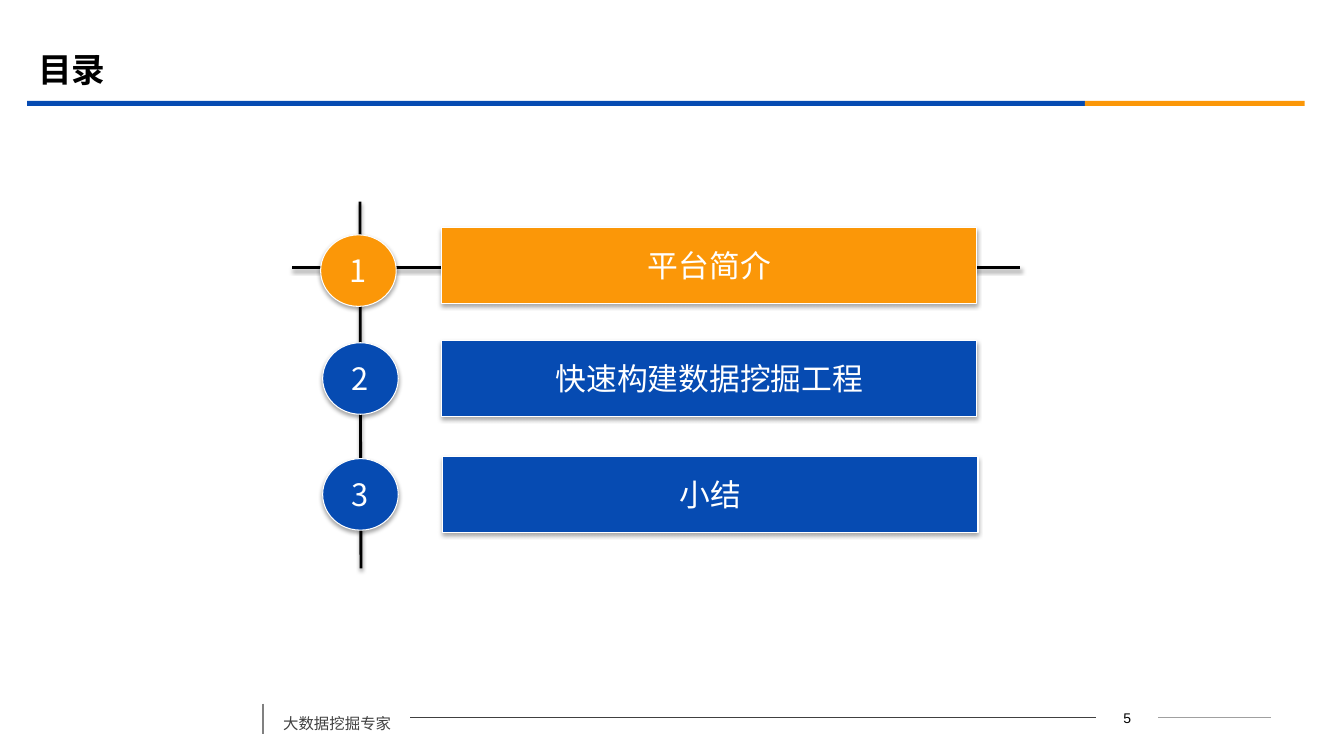
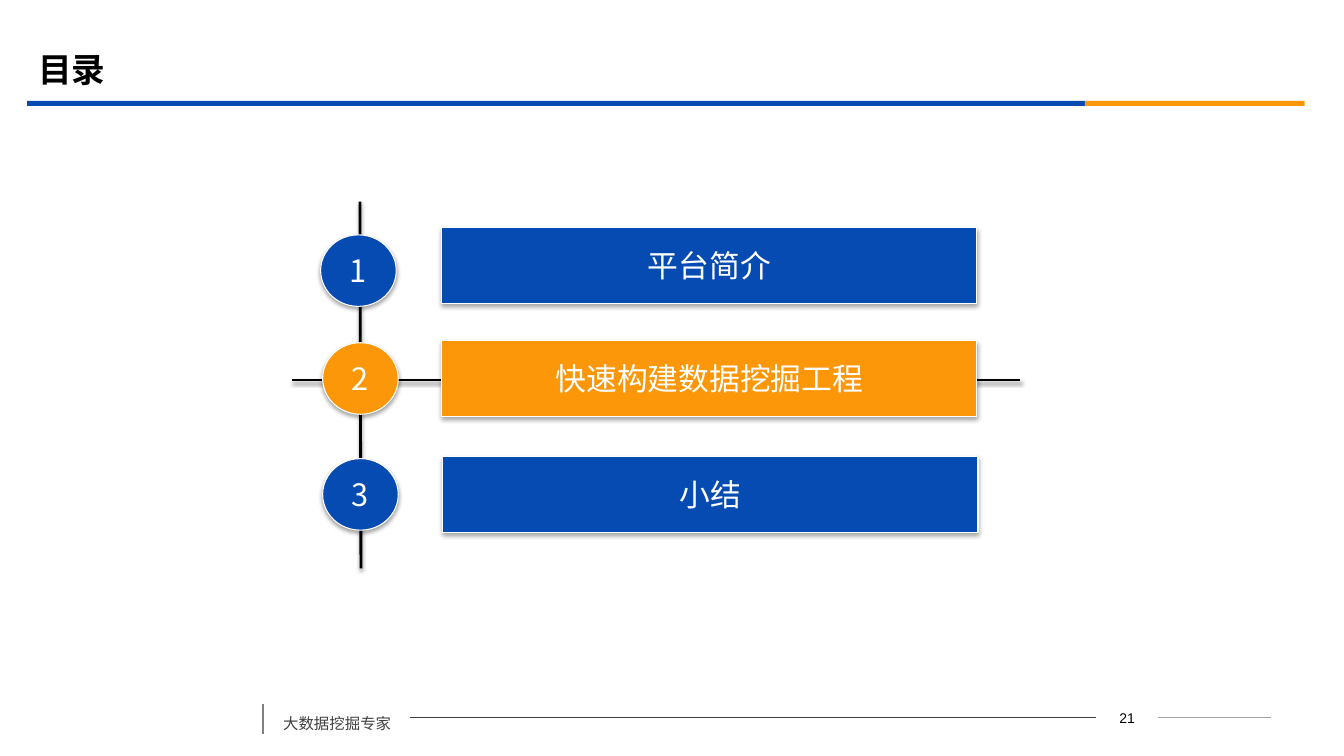
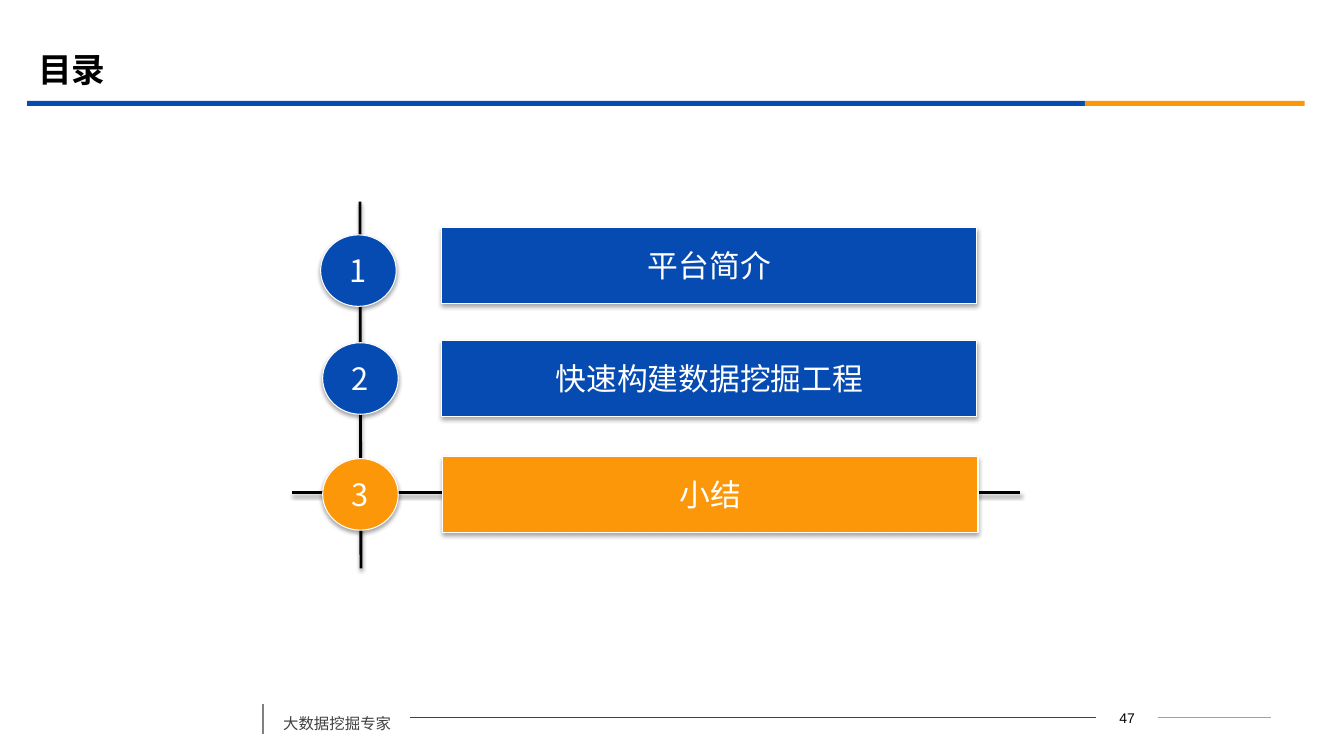
import pptx
import pptx.util
import pptx.dml.color
import pptx.enum.shapes
import pptx.enum.text
import pptx.oxml.ns
import lxml.etree

Inches = pptx.util.Inches
Pt = pptx.util.Pt
RGBColor = pptx.dml.color.RGBColor
Shape = pptx.enum.shapes.MSO_SHAPE
Align = pptx.enum.text.PP_ALIGN
Anchor = pptx.enum.text.MSO_ANCHOR
qn = pptx.oxml.ns.qn

BLUE = RGBColor(0x06, 0x4B, 0xB2)
ORANGE = RGBColor(0xFB, 0x97, 0x08)
BLACK = RGBColor(0, 0, 0)
WHITE = RGBColor(0xFF, 0xFF, 0xFF)
DARK = RGBColor(0x40, 0x40, 0x40)
GREY = RGBColor(0x80, 0x80, 0x80)
LIGHT = RGBColor(0xA0, 0xA0, 0xA0)
SANS = "Noto Sans CJK SC"

# Topic, then left and top of its disc and of its bar
TOPICS = [
    ("平台简介", (3.18, 2.33), (4.38, 2.26)),
    ("快速构建数据挖掘工程", (3.2, 3.4), (4.38, 3.38)),
    ("小结", (3.2, 4.55), (4.39, 4.53)),
]
DISC = (0.75, 0.71)
BAR = (5.31, 0.75)
RULE_TOP, RULE_STEP = 2.65, 1.12
PAGES = [5, 21, 47]


class Deck:
    def __init__(self):
        self.file = pptx.Presentation()
        self.file.slide_width = Inches(13.33)
        self.file.slide_height = Inches(7.5)
        self.slide = None

    def add(self, title, page):
        """Start a slide with its title, band and footer."""
        self.slide = self.file.slides.add_slide(self.file.slide_layouts[6])
        self.block(Shape.RECTANGLE, (0.27, 1), (10.49, 0.05), BLUE)
        self.block(Shape.RECTANGLE, (10.76, 1), (2.18, 0.05), ORANGE)
        frame = self.label((0.28, 0.39), (12, 0.58), title, 24, BLACK, bold=True)
        frame.vertical_anchor = Anchor.MIDDLE

        self.line((2.61, 6.98), (2.61, 7.28), GREY, 1.25)
        self.line((4.07, 7.12), (10.87, 7.12), DARK, 0.75)
        self.line((11.49, 7.12), (12.61, 7.12), LIGHT, 0.75)
        frame = self.label((2.71, 6.94), (1.36, 0.38), "大数据挖掘专家", 11, DARK)
        frame.paragraphs[0].line_spacing = 1.5
        frame.paragraphs[0].space_before = Pt(6)
        frame = self.label((10.87, 6.99), (0.62, 0.25), str(page), 10, BLACK, "Arial")
        frame.paragraphs[0].alignment = Align.CENTER

    def effect(self, shape, alpha=0, dist=0):
        """Give the shape a soft shadow below it, or none if alpha is 0."""
        props = shape._element.spPr
        box = lxml.etree.SubElement(props, qn("a:effectLst"))
        if alpha:
            shade = lxml.etree.SubElement(
                box, qn("a:outerShdw"), blurRad=str(Pt(3.1)), dist=str(Pt(dist)),
                dir="5400000", rotWithShape="0")
            color = lxml.etree.SubElement(shade, qn("a:srgbClr"), val=str(BLACK))
            lxml.etree.SubElement(color, qn("a:alpha"), val=str(alpha * 1000))

    def text(self, frame, words, size, color, font=SANS, bold=False):
        run = frame.paragraphs[0].add_run()
        run.text = words
        run.font.size = Pt(size)
        run.font.bold = bold
        run.font.color.rgb = color
        run.font.name = font
        lxml.etree.SubElement(run.font._element, qn("a:ea"), typeface=font)

    def label(self, at, size, words, points, color, font=SANS, bold=False):
        box = self.slide.shapes.add_textbox(*map(Inches, at + size))
        frame = box.text_frame
        frame.word_wrap = True
        self.text(frame, words, points, color, font, bold)
        return frame

    def line(self, start, end, color, width, alpha=0):
        link = self.slide.shapes.add_connector(
            pptx.enum.shapes.MSO_CONNECTOR.STRAIGHT, *map(Inches, start + end))
        link.line.color.rgb = color
        link.line.width = Pt(width)
        self.effect(link, alpha, 1.6)

    def block(self, kind, at, size, fill):
        shape = self.slide.shapes.add_shape(kind, *map(Inches, at + size))
        shape.fill.solid()
        shape.fill.fore_color.rgb = fill
        shape.line.fill.background()
        shape.shadow.inherit = False
        return shape

    def button(self, kind, at, size, fill, words):
        """Add a raised block with a white edge and centred text."""
        shape = self.block(kind, at, size, fill)
        shape.line.color.rgb = WHITE
        shape.line.width = Pt(0.75)
        shape.shadow.inherit = True
        self.effect(shape, 35, 1.8)
        frame = shape.text_frame
        frame.word_wrap = False
        frame.vertical_anchor = Anchor.MIDDLE
        frame.paragraphs[0].alignment = Align.CENTER
        self.text(frame, words, 22, WHITE)

    def agenda(self, active):
        """Draw the topics, with the active one in orange on a rule."""
        self.line((3.57, 2), (3.58, 5.64), BLACK, 2, 38)
        level = RULE_TOP + active * RULE_STEP
        self.line((2.9, level), (10.12, level), BLACK, 2, 38)
        for index, (topic, disc, bar) in enumerate(TOPICS):
            fill = ORANGE if index == active else BLUE
            self.button(Shape.OVAL, disc, DISC, fill, str(index + 1))
            self.button(Shape.ACTION_BUTTON_CUSTOM, bar, BAR, fill, topic)


def main():
    deck = Deck()
    for active, page in enumerate(PAGES):
        deck.add("目录", page)
        deck.agenda(active)
    deck.file.save("out.pptx")


if __name__ == "__main__":
    main()
